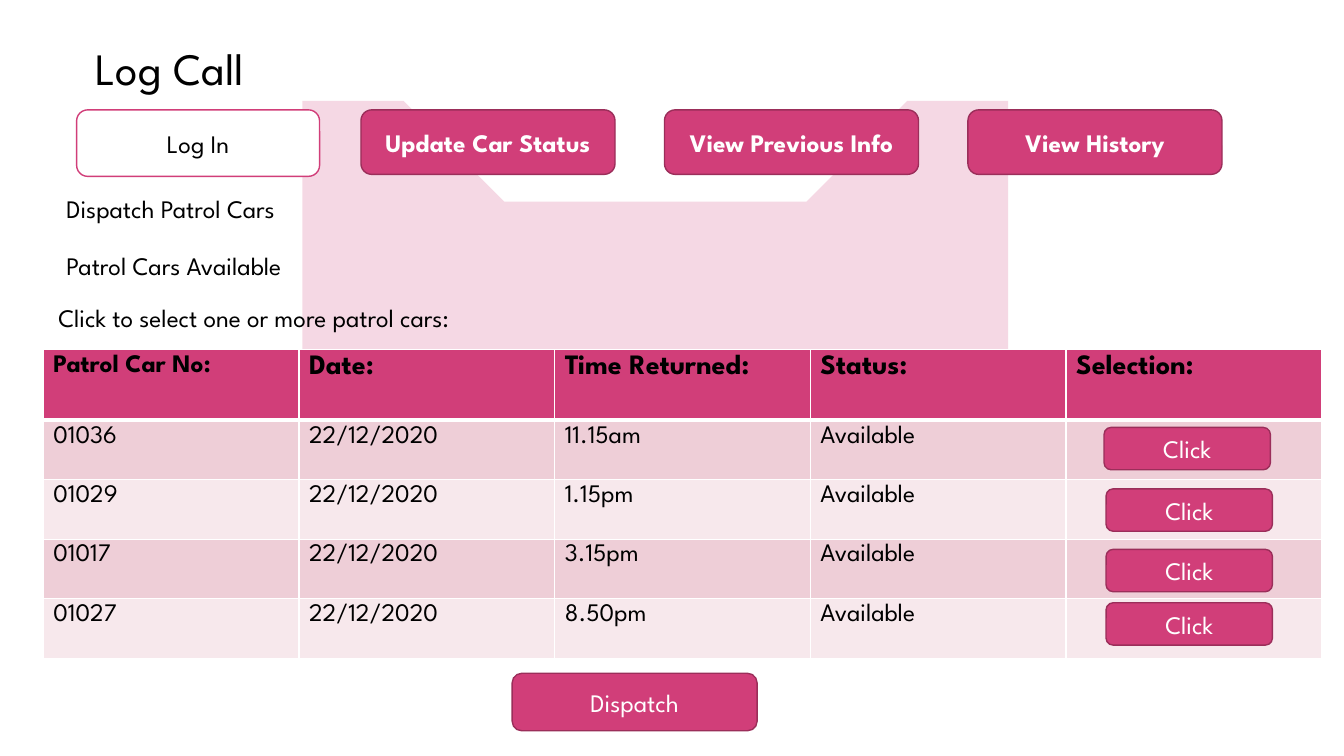
import pptx
import pptx.util
import pptx.dml.color
import pptx.enum.shapes
import pptx.enum.text
import pptx.oxml.ns
import lxml.etree

Inches = pptx.util.Inches
FONT = "League Spartan"
PINK, DARK, WHITE, BLACK = "D13E79", "9B2E5A", "FFFFFF", "000000"
BANDS = "EECED7", "F7E8EC"
BRUSH = [
    (159, 83), (261, 109), (381, 114), (485, 109), (579, 82), (634, 44),
    (656, 26), (677, 7), (687, 3), (680, 15), (689, 7), (697, 7), (705, 0),
    (703, 8), (698, 21), (674, 56), (650, 77), (660, 73), (684, 55),
    (701, 41), (701, 48), (674, 74), (693, 61), (690, 70), (659, 100),
    (652, 105), (619, 133), (604, 143), (625, 129), (682, 88), (711, 63),
    (720, 62), (711, 72), (719, 66), (725, 65), (734, 58), (735, 69),
    (730, 79), (706, 112), (680, 135), (713, 114), (732, 99), (731, 108),
    (705, 132), (724, 118), (720, 128), (712, 135), (721, 133), (703, 143),
    (693, 156), (682, 168), (665, 188), (698, 185), (740, 171), (739, 186),
    (739, 200), (748, 204), (692, 245), (730, 238), (735, 250), (717, 262),
    (711, 284), (714, 305), (732, 323), (762, 328), (731, 346), (765, 345),
    (703, 389), (740, 376), (693, 414), (675, 437), (696, 436), (643, 470),
    (698, 463), (653, 489), (636, 507), (588, 526), (420, 558), (246, 538),
    (95, 454), (65, 426), (31, 369), (1, 339), (0, 307), (14, 285),
    (24, 272), (45, 253), (26, 229), (35, 206), (53, 195), (35, 177),
    (45, 162), (36, 149), (28, 137), (31, 123), (48, 94), (51, 68),
    (69, 65), (70, 54), (86, 61), (104, 73), (120, 76)]
HEADS = ["Patrol Car No:", "Date:", "Time Returned:", "Status:", "Selection:"]
CARS = [("01036", "11.15am"), ("01029", "1.15pm"),
        ("01017", "3.15pm"), ("01027", "8.50pm")]


def color(code):
    """Turn a hex string into a colour."""
    return pptx.dml.color.RGBColor.from_string(code)


def paint(part, code):
    """Give a part a solid fill."""
    part.fill.solid()
    part.fill.fore_color.rgb = color(code)


def write(frame, text, size=18, code=BLACK, bold=False, center=False):
    """Write one run into a text frame."""
    frame.word_wrap = True
    para = frame.paragraphs[0]
    if center:
        para.alignment = pptx.enum.text.PP_ALIGN.CENTER
    run = para.add_run()
    run.text = text
    run.font.name = FONT
    run.font.size = pptx.util.Pt(size)
    run.font.bold = bold
    run.font.color.rgb = color(code)


def label(slide, box, text, size=18, center=False):
    """Place a line of text in the box."""
    area = slide.shapes.add_textbox(*map(Inches, box))
    write(area.text_frame, text, size, center=center)


def button(slide, box, text, bold=False, fill=PINK, line=DARK, ink=WHITE):
    """Place a rounded button in the box."""
    kind = pptx.enum.shapes.MSO_SHAPE.ROUNDED_RECTANGLE
    shape = slide.shapes.add_shape(kind, *map(Inches, box))
    shape.shadow.inherit = False
    paint(shape, fill)
    shape.line.color.rgb = color(line)
    shape.line.width = pptx.util.Pt(1)
    shape.text_frame.vertical_anchor = pptx.enum.text.MSO_ANCHOR.MIDDLE
    write(shape.text_frame, text, code=ink, bold=bold, center=True)


def brush(slide, box):
    """Draw the pale brush stroke from the corner of the box."""
    left, top = box
    points = [(left + x / 100, top + y / 100) for x, y in BRUSH]
    form = slide.shapes.build_freeform(*points[0], scale=Inches(1))
    form.add_line_segments(points[1:])
    shape = form.convert_to_shape()
    shape.shadow.inherit = False
    paint(shape, PINK)
    shape.line.fill.background()
    tint = shape.fill._xPr.find(".//" + pptx.oxml.ns.qn("a:srgbClr"))
    lxml.etree.SubElement(tint, pptx.oxml.ns.qn("a:alpha"), val="20000")


def border(cell, row):
    """Rule a cell in white, thicker under the head row."""
    thick = {(0, "lnB"), (1, "lnT")}
    for side in ("lnL", "lnR", "lnT", "lnB"):
        width = 3 if (row, side) in thick else 1
        rule = lxml.etree.SubElement(
            cell._tc.get_or_add_tcPr(), pptx.oxml.ns.qn("a:" + side),
            w=str(pptx.util.Pt(width)))
        fill = lxml.etree.SubElement(rule, pptx.oxml.ns.qn("a:solidFill"))
        lxml.etree.SubElement(fill, pptx.oxml.ns.qn("a:srgbClr"), val=WHITE)


def menu(slide, box):
    """Place the row of menu buttons in the box."""
    left, top, width, height = box
    button(slide, (left, top, 2.41, 0.66), "Log In",
           fill=WHITE, line=PINK, ink=BLACK)
    names = ["Update Car Status", "View Previous Info", "View History"]
    size, step = 2.52, 3.01
    for i, name in enumerate(reversed(names)):
        spot = left + width - size - i * step
        button(slide, (spot, top, size, height), name, bold=True)


def grid(slide, box):
    """Place the table of patrol cars and its buttons in the box."""
    left, top, width, height = box
    head = 0.7
    step = (height - head) / len(CARS)
    rows = [HEADS] + [(car, "22/12/2020", time, "Available", "")
                      for car, time in CARS]
    table = slide.shapes.add_table(
        len(rows), len(HEADS), *map(Inches, box)).table
    for col in table.columns:
        col.width = Inches(width / len(HEADS))
    for r, row in enumerate(rows):
        table.rows[r].height = Inches(step if r else head)
        for c, text in enumerate(row):
            cell = table.cell(r, c)
            border(cell, r)
            paint(cell, BANDS[(r - 1) % 2] if r else PINK)
            if text:
                size = 20 if r == 0 and c else 18
                write(cell.text_frame, text, size, bold=r == 0)
    for x, y in [(10.52, 0.77), (10.54, 1.38), (10.54, 1.98), (10.54, 2.51)]:
        button(slide, (left + x, top + y, 1.65, 0.42), "Click")


def page(deck):
    """Build the log call slide."""
    slide = deck.slides.add_slide(deck.slide_layouts[6])
    brush(slide, (2.84, 0.58))
    label(slide, (0.48, 0.35, 2.41, 0.64), "Log Call", 32, True)
    menu(slide, (0.76, 1.09, 11.36, 0.64))
    label(slide, (0.56, 1.87, 3.06, 0.4), "Dispatch Patrol Cars")
    label(slide, (0.56, 2.43, 3.06, 0.4), "Patrol Cars Available")
    label(slide, (0.48, 2.95, 4.94, 0.4),
          "Click to select one or more patrol cars:")
    grid(slide, (0.43, 3.47, 12.68, 3.06))
    button(slide, (5.08, 6.68, 2.43, 0.57), "Dispatch")


deck = pptx.Presentation()
deck.slide_width = Inches(13.33)
deck.slide_height = Inches(7.5)
page(deck)
deck.save("out.pptx")
